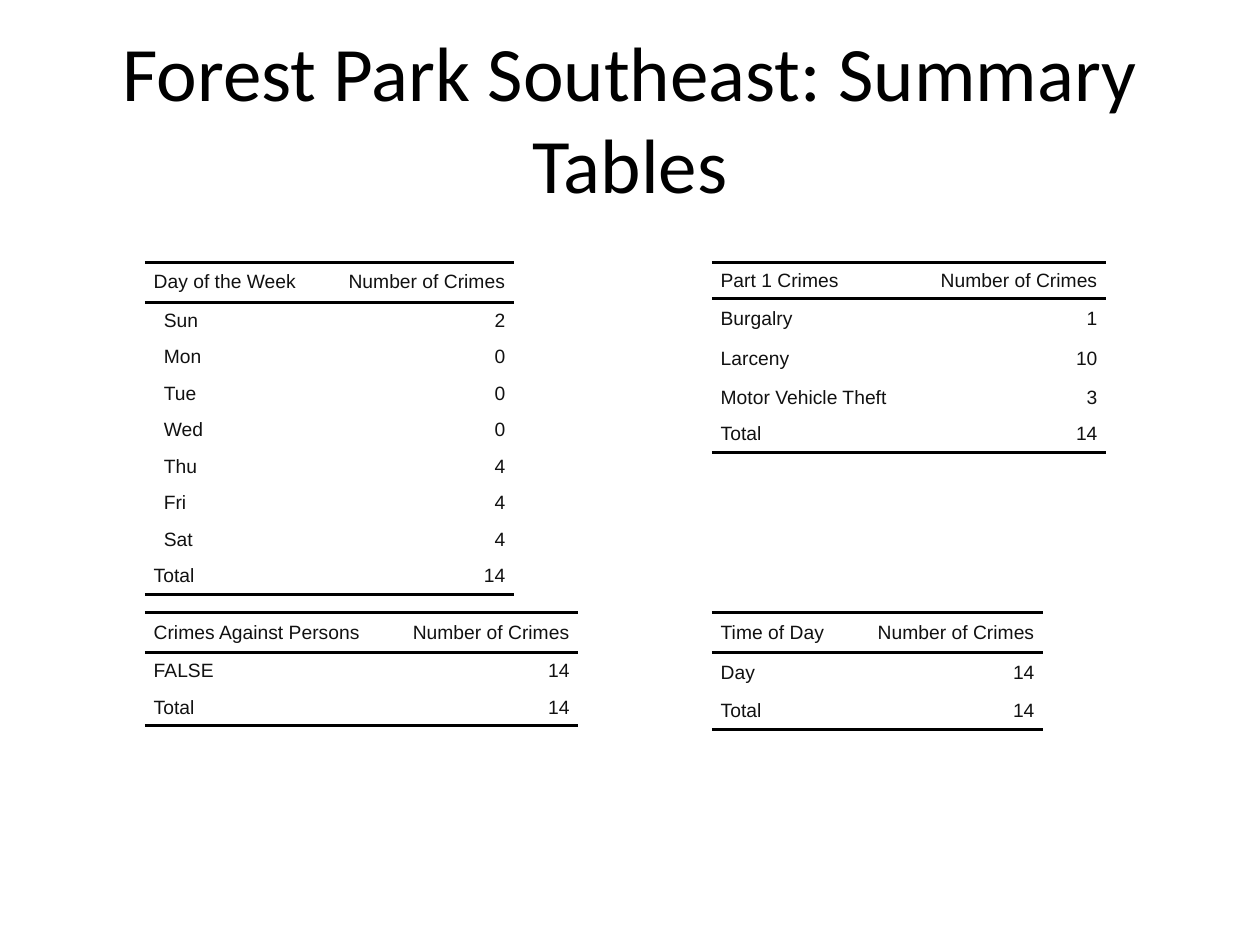
import dataclasses
import lxml.etree
import pptx
import pptx.dml.color
import pptx.enum.text
import pptx.oxml.ns
import pptx.util

Inches = pptx.util.Inches
Pt = pptx.util.Pt
Align = pptx.enum.text.PP_ALIGN
Anchor = pptx.enum.text.MSO_ANCHOR
qn = pptx.oxml.ns.qn

PLAIN = "{2D5ABB26-0587-4C30-8999-92F81FD0307C}"
PAD = 0.07
STEP = 0.08
LEFT, RIGHT = 1.15, 5.65
UPPER, LOWER = 2.08, 4.86
SHORT, TALL = 0.29, 0.32
COUNT = 1.52


@dataclasses.dataclass
class Grid:
    left: float
    top: float
    width: float
    head: str
    rows: list[tuple[str, int]]
    tall: tuple[int, ...] = (0,)
    nest: bool = False


def color(code: str) -> pptx.dml.color.RGBColor:
    return pptx.dml.color.RGBColor.from_string(code)


def style(para, size: float, font: str, code: str, align: Align) -> None:
    para.alignment = align
    for run in para.runs:
        run.font.size = Pt(size)
        run.font.name = font
        run.font.color.rgb = color(code)


def rule(cell, side: str) -> None:
    props = cell._tc.get_or_add_tcPr()
    line = lxml.etree.SubElement(props, qn(f"a:ln{side}"), w=str(Pt(2)))
    fill = lxml.etree.SubElement(line, qn("a:solidFill"))
    lxml.etree.SubElement(fill, qn("a:srgbClr"), val="000000")


def write(cell, text: str, align: Align, inset: float) -> None:
    cell.margin_left = Inches(inset)
    cell.margin_right = Inches(PAD)
    cell.margin_top = cell.margin_bottom = 0
    cell.vertical_anchor = Anchor.MIDDLE
    cell.text_frame.text = text
    para = cell.text_frame.paragraphs[0]
    para.space_before = para.space_after = Pt(2)
    style(para, 11, "Arial", "111111", align)


def draw(slide, grid: Grid) -> None:
    rows = [(grid.head, "Number of Crimes"), *grid.rows,
            ("Total", sum(num for _, num in grid.rows))]
    last = len(rows) - 1
    highs = [TALL if i in grid.tall else SHORT for i in range(len(rows))]
    frame = slide.shapes.add_table(
        len(rows), 2, Inches(grid.left), Inches(grid.top),
        Inches(grid.width + COUNT), Inches(sum(highs)))
    table = frame.table
    table.first_row = table.horz_banding = False
    table._tbl.tblPr.find(qn("a:tableStyleId")).text = PLAIN
    for col, width in zip(table.columns, (grid.width, COUNT)):
        col.width = Inches(width)
    for i, (row, high) in enumerate(zip(rows, highs)):
        table.rows[i].height = Inches(high)
        inset = PAD + STEP if grid.nest and 0 < i < last else PAD
        for j, (value, align) in enumerate(zip(row, (Align.LEFT, Align.RIGHT))):
            cell = table.cell(i, j)
            write(cell, str(value), align, PAD if j else inset)
            if i == 0:
                rule(cell, "T")
            if i in (0, last):
                rule(cell, "B")
            cell.fill.background()


def title(slide, text: str) -> None:
    box = slide.shapes.add_textbox(
        Inches(0.5), Inches(0.3), Inches(9), Inches(1.25))
    frame = box.text_frame
    frame.word_wrap = True
    frame.vertical_anchor = Anchor.MIDDLE
    frame.text = text
    style(frame.paragraphs[0], 44, "Calibri", "000000", Align.CENTER)


GRIDS = [
    Grid(RIGHT, UPPER, 1.61, "Part 1 Crimes",
         [("Burgalry", 1), ("Larceny", 10), ("Motor Vehicle Theft", 3)],
         tall=(1, 2)),
    Grid(LEFT, UPPER, 1.41, "Day of the Week",
         [("Sun", 2), ("Mon", 0), ("Tue", 0), ("Wed", 0),
          ("Thu", 4), ("Fri", 4), ("Sat", 4)], nest=True),
    Grid(LEFT, LOWER, 1.92, "Crimes Against Persons", [("FALSE", 14)]),
    Grid(RIGHT, LOWER, 1.11, "Time of Day", [("Day", 14)], tall=(0, 1)),
]

deck = pptx.Presentation()
deck.slide_width = Inches(10)
deck.slide_height = Inches(7.5)
slide = deck.slides.add_slide(deck.slide_layouts[6])
title(slide, "Forest Park Southeast: Summary Tables")
for grid in GRIDS:
    draw(slide, grid)
deck.save("out.pptx")
